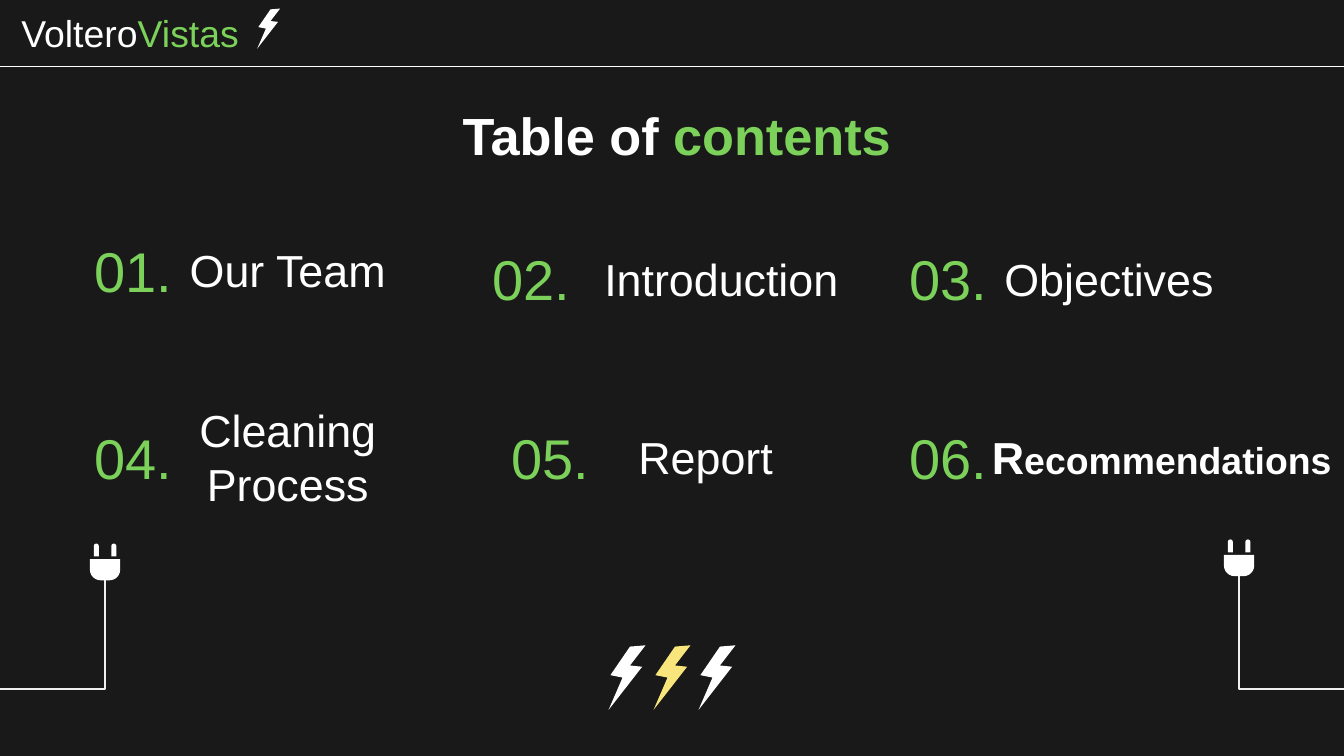
from dataclasses import dataclass

from lxml import etree
from pptx import Presentation
from pptx.dml.color import RGBColor
from pptx.enum.shapes import MSO_CONNECTOR, MSO_SHAPE
from pptx.enum.text import MSO_ANCHOR, PP_ALIGN
from pptx.oxml.ns import qn
from pptx.util import Pt

STRAIGHT, ELBOW = MSO_CONNECTOR.STRAIGHT, MSO_CONNECTOR.ELBOW
ROUNDED = MSO_SHAPE.ROUND_2_SAME_RECTANGLE
MIDDLE = MSO_ANCHOR.MIDDLE
LEFT, CENTER = PP_ALIGN.LEFT, PP_ALIGN.CENTER

WIDTH, HEIGHT = 720, 405
BOLT = [(19.8, 0), (11.5, 0.7), (1, 16), (7.5, 17.3), (0, 34.6), (18, 11.5), (11.5, 10.8)]
ROW_MIDDLES = [144.6, 149, 244.7]


@dataclass(frozen=True)
class Theme:
    font: str = "Arial"
    background: str = "191919"
    white: str = "FFFFFF"
    green: str = "7BD159"
    yellow: str = "F8E67C"
    wire: str = "EFEFEF"
    title: int = 28
    number: int = 30
    label: int = 24
    brand: int = 20
    stroke: float = 0.75


class Page:
    """Draw styled elements on one slide."""

    def __init__(self, deck, theme):
        self.theme = theme
        self.slide = deck.slides.add_slide(deck.slide_layouts[6])
        self.shapes = self.slide.shapes
        self.paint(self.slide.background.fill, theme.background)

    def paint(self, fill, color):
        fill.solid()
        fill.fore_color.rgb = RGBColor.from_string(color)

    def finish(self, shape, color):
        self.paint(shape.fill, color)
        shape.line.fill.background()
        shape.shadow.inherit = False

    def text(self, left, middle, width, height, spans, align=CENTER, bold=False):
        box = self.shapes.add_textbox(Pt(left), Pt(middle - height / 2), Pt(width), Pt(height))
        sides = ("left", "right", "top", "bottom")
        frame_format = {f"margin_{side}": Pt(7.2) for side in sides}
        frame_format.update(word_wrap=True, vertical_anchor=MIDDLE)
        for name, value in frame_format.items():
            setattr(box.text_frame, name, value)
        para = box.text_frame.paragraphs[0]
        para.alignment = align
        for words, size, color in spans:
            span = para.add_run()
            span.text = words
            span_format = {"name": self.theme.font, "size": Pt(size), "bold": bold}
            for name, value in span_format.items():
                setattr(span.font, name, value)
            span.font.color.rgb = RGBColor.from_string(color)

    def line(self, start, end, color, kind=STRAIGHT):
        line = self.shapes.add_connector(kind, *map(Pt, start + end))
        line.line.color.rgb = RGBColor.from_string(color)
        line.line.width = Pt(self.theme.stroke)
        etree.SubElement(line._element.spPr, qn("a:effectLst"))
        return line

    def wire(self, start, end):
        (x1, y1), (x2, y2) = start, end
        center, middle = (x1 + x2) / 2, (y1 + y2) / 2
        side = 1 if x2 > x1 else -1
        across, down = side * (y2 - y1) / 2, abs(x2 - x1) / 2
        begin, finish = (center + across, middle - down), (center - across, middle + down)
        properties = self.line(begin, finish, self.theme.wire, ELBOW)._element.spPr
        properties.find(qn("a:prstGeom")).set("prst", "bentConnector2")
        properties.find(qn("a:xfrm")).set("rot", str((180 + side * 90) * 60000))

    def bolt(self, shapes, left, top, color, scale=1):
        points = [(Pt(left + x * scale), Pt(top + y * scale)) for x, y in BOLT]
        builder = shapes.build_freeform(*points[0])
        builder.add_line_segments(points[1:], close=True)
        self.finish(builder.convert_to_shape(), color)

    def rounded(self, shapes, left, top, width, height, corners):
        shape = shapes.add_shape(ROUNDED, Pt(left), Pt(top), Pt(width), Pt(height))
        for index, corner in enumerate(corners):
            shape.adjustments[index] = corner
        self.finish(shape, self.theme.white)

    def plug(self, center, top, wire_end):
        self.wire((center, top + 19.2), (wire_end, 369.2))
        group = self.shapes.add_group_shape().shapes
        self.rounded(group, center - 8.1, top + 8.3, 16.2, 11.4, (0, 0.5))
        for offset in (4.7, -4.7):
            self.rounded(group, center + offset - 1.35, top, 2.7, 6.9, (0.5, 0))


def main():
    theme = Theme()
    deck = Presentation()
    deck.slide_width, deck.slide_height = Pt(WIDTH), Pt(HEIGHT)
    page = Page(deck, theme)

    page.plug(56.3, 291.2, -206)
    page.plug(663.8, 289, 924)
    bolts = page.shapes.add_group_shape().shapes
    for index, color in enumerate((theme.white, theme.yellow, theme.white)):
        page.bolt(bolts, 326 + index * 24.1, 345.7, color)

    page.line((-18.7, 35.8), (722, 35.8), theme.white)
    brand = [("Voltero", theme.brand, theme.white), ("Vistas", theme.brand, theme.green)]
    page.text(4.3, 17.5, 164.2, 32.4, brand, LEFT)
    page.bolt(page.shapes, 137.8, 4.6, theme.white, 0.62)

    title = [("Table of ", theme.title, theme.white), ("contents", theme.title, theme.green)]
    page.text(59, 72.4, 607, 45.4, title, bold=True)

    first, upper, lower = ROW_MIDDLES
    contents = [
        ("Our Team", first, 25.9, 91.4, 70.6, 167),
        ("Introduction", upper, 234.7, 100.1, 294.3, 184.3),
        ("Objectives", upper, 457.9, 100.1, 480, 228.2),
        ("Cleaning Process", lower, 25.9, 91.4, 70.6, 167),
        ("Report", lower, 249.1, 91.4, 294.5, 167),
        ("Recommendations", lower, 462.2, 91.4, 514.8, 215.3),
    ]
    for index, entry in enumerate(contents, 1):
        label, middle, number_left, number_width, label_left, label_width = entry
        last = index == len(contents)
        spans = [(label, theme.label, theme.white)]
        if last:
            spans = [(label[0], theme.label, theme.white), (label[1:], theme.brand, theme.white)]
        page.text(label_left, middle, label_width, 41.8, spans, bold=last)
        number = [(f"{index:02}.", theme.number, theme.green)]
        page.text(number_left, middle, number_width, 32.4, number)

    deck.save("out.pptx")


if __name__ == "__main__":
    main()
